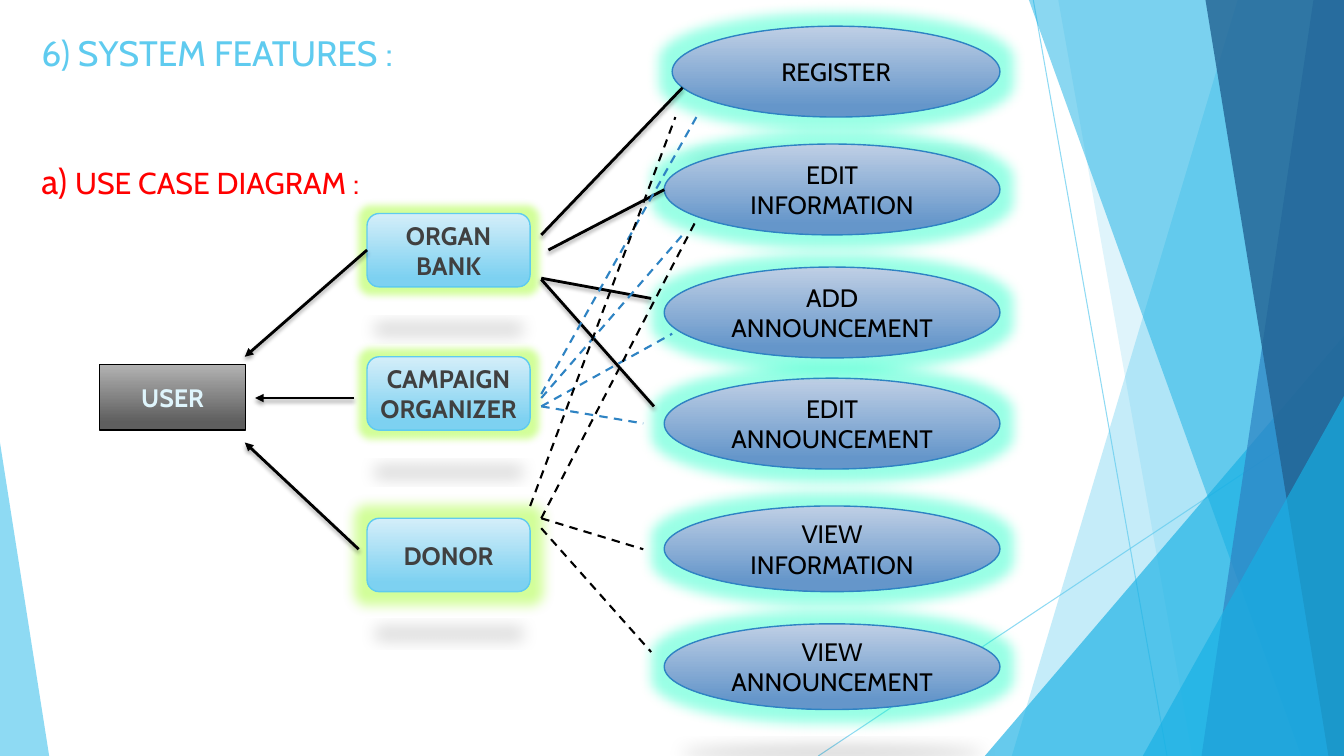
from dataclasses import dataclass

from lxml.etree import SubElement
from pptx import Presentation
from pptx.dml.color import RGBColor
from pptx.enum.dml import MSO_LINE
from pptx.enum.shapes import MSO_CONNECTOR, MSO_SHAPE
from pptx.enum.text import MSO_ANCHOR, MSO_AUTO_SIZE, PP_ALIGN
from pptx.oxml.ns import qn
from pptx.util import Cm, Pt


@dataclass(frozen=True)
class Theme:
    font: str = "Cabin"
    sky: str = "5FCBEF"
    azure: str = "17B0E4"
    blue: str = "2E83C3"
    navy: str = "226292"
    red: str = "FF0000"
    black: str = "000000"
    charcoal: str = "404040"
    pale: str = "DFF5FC"
    lime: str = "90FF00"
    mint: str = "00FFC0"
    user_fill: tuple = ("B2B2B2", "5E5E5E")
    actor_fill: tuple = ("D4EEF9", "7DD1F1")
    case_fill: tuple = ("BFCFE5", "6596CA")
    heading_size: float = 25.2
    subheading_size: float = 21.6
    label_size: float = 18


THEME = Theme()
WIDTH, HEIGHT = 33.87, 19.05

# Paragraphs of (text, colour, size) runs
HEADING = [
    [("6) SYSTEM FEATURES :", THEME.sky, THEME.heading_size)],
    [("a) ", THEME.red, THEME.heading_size),
     ("USE CASE DIAGRAM :", THEME.red, THEME.subheading_size)],
]
# Bands give top and bottom x of their left edge; triangles give box and apex
FACETS = [
    ("band", (31.19, 25.5), THEME.sky, 36),
    ("band", (26.67, 30.05), THEME.sky, 20),
    ("triangle", (24.82, 8.46, 9.05, 10.59, 1), THEME.azure, 66),
    ("band", (25.93, 32.79), THEME.azure, 50),
    ("band", (33.1, 30.28), THEME.blue, 70),
    ("band", (30.38, 33.48), THEME.navy, 80),
    ("triangle", (28.8, 9.98, 5.07, 9.07, 1), THEME.azure, 66),
    ("triangle", (0, 11.15, 1.24, 7.9, 0), THEME.sky, 70),
]
HAIRLINES = [(26.04, 0, 29.41, HEIGHT), (WIDTH, 10.24, 20.62, HEIGHT)]
USER_BOX = (2.51, 9.19, 3.68, 1.65)
# Label, top, glow radius in points
ACTORS = [("ORGAN BANK", 5.38, 11), ("CAMPAIGN ORGANIZER", 8.99, 11), ("DONOR", 13.06, 18)]
# Label, left, top, height, has a cast shadow
CASES = [
    ("EDIT ANNOUNCEMENT", 16.74, 9.53, 2.29, False),
    ("VIEW INFORMATION", 16.74, 12.75, 2.16, False),
    ("VIEW ANNOUNCEMENT", 16.74, 15.72, 2.16, True),
    ("REGISTER", 16.94, 0.66, 2.29, True),
    ("EDIT INFORMATION", 16.74, 3.63, 2.29, False),
    ("ADD ANNOUNCEMENT", 16.74, 6.73, 2.29, False),
]
CASE_RIGHT = 25.2
BANK_LINKS = [(13.64, 5.92, 17.2, 2.21), (13.82, 6.3, 16.74, 4.78),
              (13.64, 7.01, 16.41, 7.52), (13.64, 7.04, 16.48, 10.24)]
ORGANIZER_LINKS = [(13.64, 9.93, 17.55, 2.95), (13.64, 10.03, 17.2, 5.92),
                   (13.64, 10.24, 16.21, 10.67), (13.64, 10.24, 16.94, 8.41)]
DONOR_LINKS = [(13.36, 12.75, 17.02, 2.95), (13.64, 13.06, 17.55, 5.54),
               (13.64, 13.06, 16.21, 13.84), (13.64, 13.31, 16.41, 16.43)]
USER_ARROWS = [(9.25, 6.3, 6.17, 8.99), (8.92, 10.03, 6.43, 10.03), (9.04, 13.84, 6.17, 11.15)]


def rgb(colour):
    return RGBColor.from_string(colour)


def set_opacity(shape, percent):
    for colour in shape.element.spPr.iter(qn("a:srgbClr")):
        SubElement(colour, qn("a:alpha"), val=str(percent * 1000))


def add_effect(effects, name, colour, percent, **attributes):
    effect = SubElement(effects, qn(name), **attributes)
    value = SubElement(effect, qn("a:srgbClr"), val=colour)
    SubElement(value, qn("a:alpha"), val=str(percent * 1000))


def add_facet(page, kind, geometry, colour, opacity):
    if kind == "band":
        top, bottom = geometry
        outline = page.shapes.build_freeform(Cm(top), 0)
        outline.add_line_segments([(Cm(x), Cm(y)) for x, y in (
            (WIDTH, 0), (WIDTH, HEIGHT), (bottom, HEIGHT))])
        facet = outline.convert_to_shape()
    else:
        *box, apex = geometry
        facet = page.shapes.add_shape(MSO_SHAPE.ISOSCELES_TRIANGLE, *map(Cm, box))
        facet.adjustments[0] = apex
    facet.shadow.inherit = False
    facet.fill.solid()
    facet.fill.fore_color.rgb = rgb(colour)
    set_opacity(facet, opacity)
    facet.line.fill.background()


def add_line(page, ends, colour, width, dashed=False, shadow=False, arrow=False):
    line = page.shapes.add_connector(MSO_CONNECTOR.STRAIGHT, *map(Cm, ends))
    line.line.color.rgb = rgb(colour)
    line.line.width = Pt(width)
    if dashed:
        line.line.dash_style = MSO_LINE.DASH
    properties = line.element.spPr
    if arrow:
        SubElement(properties.find(qn("a:ln")), qn("a:tailEnd"), type="triangle")
    effects = SubElement(properties, qn("a:effectLst"))
    if shadow:
        add_effect(effects, "a:outerShdw", THEME.black, 35, blurRad=str(Pt(3)),
                   dist=str(Pt(2)), dir="5400000", rotWithShape="0")
    return line


def add_node(page, kind, box, label, fill, outline, ink, bold=False, glow=None, cast=False,
             side_margin=0.25):
    """Add a labelled shape; glow is (colour, radius), cast puts a flat shadow below."""
    node = page.shapes.add_shape(kind, *map(Cm, box))
    node.fill.gradient()
    node.fill.gradient_angle = 270
    for stop, colour, position in zip(node.fill.gradient_stops, fill, (0, 0.88)):
        stop.color.rgb = rgb(colour)
        stop.position = position
    node.line.color.rgb = rgb(outline)
    node.line.width = Pt(1)
    node.shadow.inherit = False
    effects = node.element.spPr.find(qn("a:effectLst"))
    if glow:
        colour, radius = glow
        add_effect(effects, "a:glow", colour, 40, rad=str(Pt(radius)))
    if cast:
        add_effect(effects, "a:outerShdw", THEME.black, 15, blurRad=str(Pt(12)),
                   dist=str(Pt(25)), dir="5400000", sx="90000", sy="-19000", rotWithShape="0")
    frame = node.text_frame
    frame.text = label
    frame.word_wrap = True
    frame.margin_left = frame.margin_right = Cm(side_margin)
    frame.vertical_anchor = MSO_ANCHOR.MIDDLE
    frame.paragraphs[0].alignment = PP_ALIGN.CENTER
    style_run(frame.paragraphs[0].runs[0], ink, THEME.label_size, bold)


def style_run(span, colour, size, bold=False):
    span.font.name = THEME.font
    span.font.size = Pt(size)
    span.font.bold = bold
    span.font.color.rgb = rgb(colour)


def fill_title(title):
    title.left, title.top, title.width, title.height = map(Cm, (0.79, 0.66, 32.46, 4.6))
    frame = title.text_frame
    frame.auto_size = MSO_AUTO_SIZE.NONE
    frame.vertical_anchor = MSO_ANCHOR.TOP
    for index, spans in enumerate(HEADING):
        para = frame.add_paragraph() if index else frame.paragraphs[0]
        para.alignment = PP_ALIGN.LEFT
        para.space_before = Pt(61 * index)
        for text, colour, size in spans:
            span = para.add_run()
            span.text = text
            style_run(span, colour, size)


def main():
    deck = Presentation()
    deck.slide_width, deck.slide_height = Cm(WIDTH), Cm(HEIGHT)
    page = deck.slides.add_slide(deck.slide_layouts[5])
    for ends in HAIRLINES:
        set_opacity(add_line(page, ends, THEME.sky, 0.75), 70)
    for facet in FACETS:
        add_facet(page, *facet)
    fill_title(page.shapes.title)

    add_node(page, MSO_SHAPE.RECTANGLE, USER_BOX, "USER", THEME.user_fill,
             THEME.black, THEME.pale, bold=True)
    for label, top, radius in ACTORS:
        add_node(page, MSO_SHAPE.ROUNDED_RECTANGLE, (9.25, top, 4.11, 1.85), label,
                 THEME.actor_fill, THEME.sky, THEME.charcoal, bold=True,
                 glow=(THEME.lime, radius), cast=True, side_margin=0.1)
    for label, left, top, height, cast in CASES:
        add_node(page, MSO_SHAPE.OVAL, (left, top, CASE_RIGHT - left, height), label,
                 THEME.case_fill, THEME.blue, THEME.black, glow=(THEME.mint, 18), cast=cast)

    for ends in BANK_LINKS:
        add_line(page, ends, THEME.black, 2, shadow=True)
    for links, colour in ((ORGANIZER_LINKS, THEME.blue), (DONOR_LINKS, THEME.black)):
        for ends in links:
            add_line(page, ends, colour, 1.5, dashed=True)
    for ends in USER_ARROWS:
        add_line(page, ends, THEME.black, 2, shadow=True, arrow=True)
    deck.save("out.pptx")


if __name__ == "__main__":
    main()
